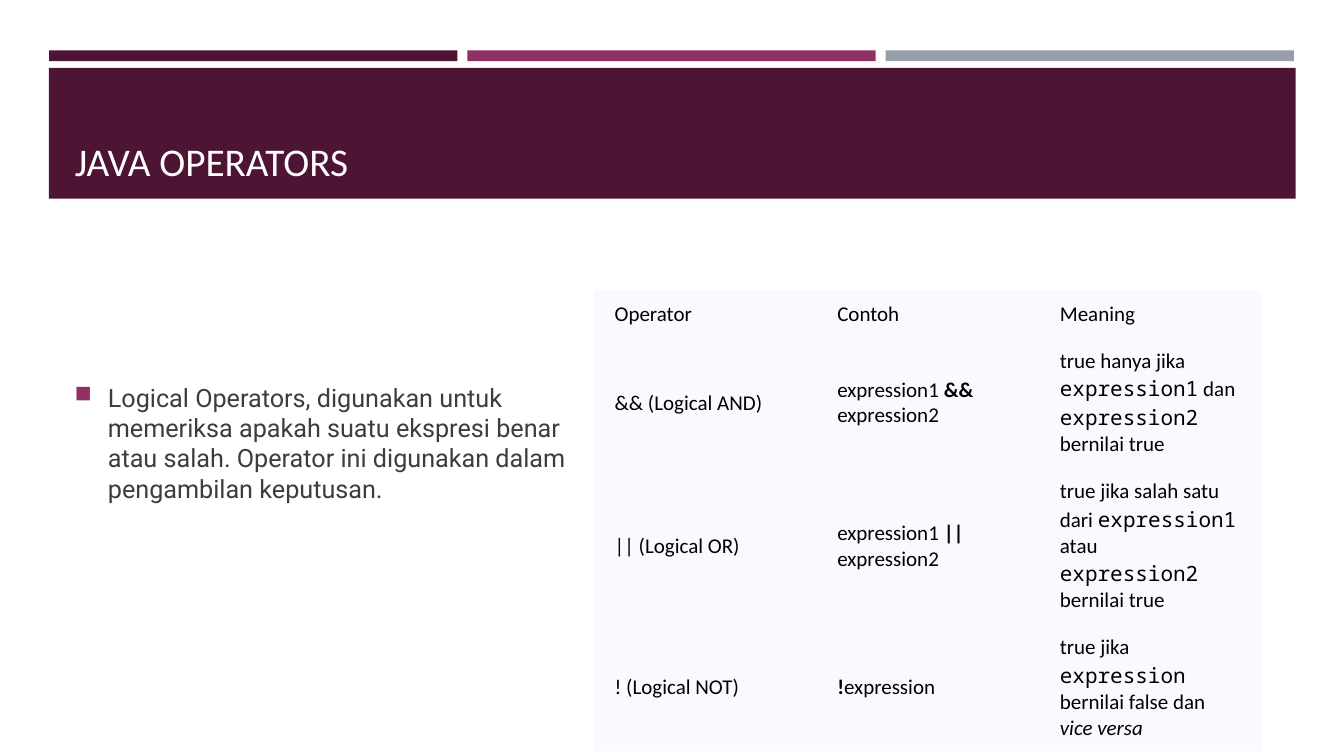
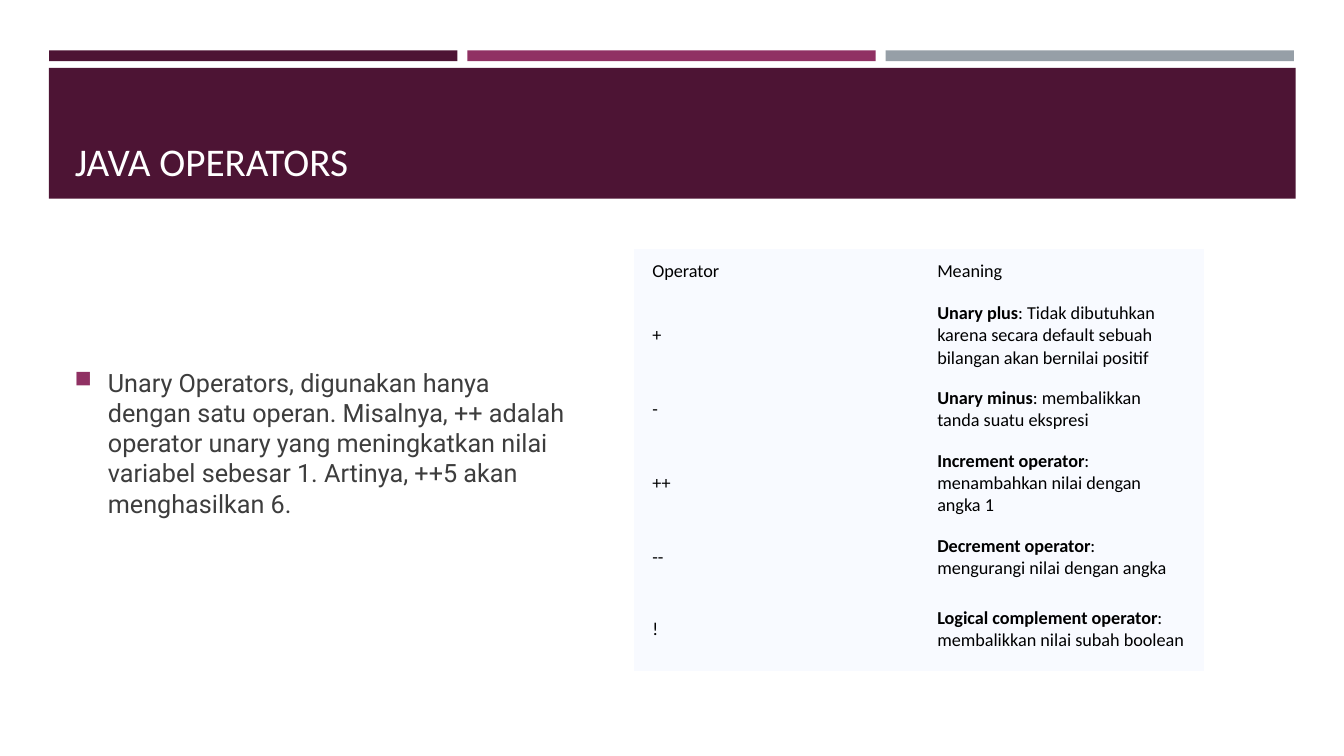
"""Build two slides on Java operators, each with a bullet and a table."""
from lxml import etree
from pptx import Presentation
from pptx import util as u
from pptx.dml.color import RGBColor
from pptx.enum import shapes, text
from pptx.oxml import ns

COLORS = {
    "plum": "4D1434",
    "magenta": "903163",
    "grey": "969FA7",
    "white": "FFFFFF",
    "body": "3D3D3D",
    "black": "000000",
    "cell": "F8FAFF",
}
NO_GRID_STYLE = "{2D5ABB26-0587-4C30-8999-92F81FD0307C}"
BOLD = {"bold": True}
ITALIC = {"italic": True}
MONO = {"name": "Noto Sans Mono"}

TITLE_FRAME = {
    "vertical_anchor": text.MSO_ANCHOR.BOTTOM,
    "auto_size": text.MSO_AUTO_SIZE.NONE,
    "word_wrap": True,
}
BODY_FRAME = TITLE_FRAME | {"vertical_anchor": text.MSO_ANCHOR.MIDDLE}
TITLE_FONT = {"name": "Calibri", "size": u.Pt(28)}
BODY_FONT = {"name": "Roboto", "size": u.Pt(18)}

SLIDES = [
    {
        "title": "JAVA OPERATORS",
        "body": "Logical Operators, digunakan untuk memeriksa apakah suatu ekspresi "
                "benar atau salah. Operator ini digunakan dalam pengambilan keputusan.",
        "left": 14.96, "top": 7.32, "column": 5.61,
        "heights": [1.17, 3.07, 3.07, 2.44],
        "size": 15, "inset": (0.53, 0.27),
        "rows": [
            [[("Operator", {})], [("Contoh", {})], [("Meaning", {})]],
            [
                [("&& (Logical AND)", {})],
                [("expression1 ", {}), ("&&", BOLD), (" expression2", {})],
                [("true hanya jika ", {}), ("expression1", MONO), (" dan ", {}),
                 ("expression2 ", MONO), ("bernilai true", {})],
            ],
            [
                [("|| (Logical OR)", {})],
                [("expression1 ", {}), ("||", BOLD), (" expression2", {})],
                [("true jika salah satu dari ", {}), ("expression1 ", MONO),
                 ("atau ", {}), ("expression2 ", MONO), ("bernilai true", {})],
            ],
            [
                [("! (Logical NOT)", {})],
                [("!", BOLD), ("expression", {})],
                [("true jika ", {}), ("expression ", MONO),
                 ("bernilai false dan ", {}), ("vice versa", ITALIC)],
            ],
        ],
    },
    {
        "title": "JAVA OPERATORS",
        "body": "Unary Operators, digunakan hanya dengan satu operan. Misalnya, ++ "
                "adalah operator unary yang meningkatkan nilai variabel sebesar 1. "
                "Artinya, ++5 akan menghasilkan 6.",
        "left": 15.98, "top": 6.27, "column": 7.18,
        "heights": [1.12, 2.08, 1.55, 1.55, 1.55, 2.08],
        "size": 13, "inset": (0.46, 0.23),
        "rows": [
            [[("Operator", {})], [("Meaning", {})]],
            [[("+", {})], [("Unary plus", BOLD),
             (": Tidak dibutuhkan karena secara default sebuah bilangan "
              "akan bernilai positif", {})]],
            [[("-", {})], [("Unary minus", BOLD),
             (": membalikkan tanda suatu ekspresi", {})]],
            [[("++", {})], [("Increment operator", BOLD),
             (": menambahkan nilai dengan angka 1", {})]],
            [[("--", {})], [("Decrement operator", BOLD),
             (": mengurangi nilai dengan angka", {})]],
            [[("!", {})], [("Logical complement operator", BOLD),
             (": membalikkan nilai subah boolean", {})]],
        ],
    },
]


def set_attributes(target, values):
    for name, value in values.items():
        setattr(target, name, value)


def add_run(paragraph, content, font, color):
    run = paragraph.add_run()
    run.text = content
    set_attributes(run.font, font)
    run.font.color.rgb = RGBColor.from_string(COLORS[color])


presentation = Presentation()
presentation.slide_width = u.Cm(33.87)
presentation.slide_height = u.Cm(19.05)
layout = presentation.slide_layouts[5]
slides = [presentation.slides.add_slide(layout) for _ in SLIDES]

bands = [(1.24 + 10.54 * index, 1.27, 10.29, 0.27, color)
         for index, color in enumerate(["plum", "magenta", "grey"])]
bands.append((1.23, 1.71, 31.42, 3.3, "plum"))
for *box, color in bands:
    band = slides[0].shapes.add_shape(
        shapes.MSO_SHAPE.RECTANGLE, *(u.Cm(length) for length in box))
    band.shadow.inherit = False
    band.fill.solid()
    band.fill.fore_color.rgb = RGBColor.from_string(COLORS[color])
    band.line.fill.background()
    layout.shapes.element.append(band.element)

for slide, content in zip(slides, SLIDES):
    title = slide.shapes.title
    set_attributes(title, {"left": u.Cm(1.63), "top": u.Cm(1.96),
                           "width": u.Cm(30.63), "height": u.Cm(2.82)})
    set_attributes(title.text_frame, TITLE_FRAME)
    paragraph = title.text_frame.paragraphs[0]
    paragraph.alignment = text.PP_ALIGN.LEFT
    add_run(paragraph, content["title"], TITLE_FONT, "white")

    body = slide.shapes.add_textbox(u.Cm(1.63), u.Cm(6.05), u.Cm(12.88), u.Cm(10.21))
    set_attributes(body.text_frame, BODY_FRAME)
    paragraph = body.text_frame.paragraphs[0]
    set_attributes(paragraph, {"space_before": u.Pt(3.6), "space_after": u.Pt(6)})
    add_run(paragraph, content["body"], BODY_FONT, "body")
    properties = paragraph._p.get_or_add_pPr()
    properties.set("marL", str(u.Cm(0.84)))
    properties.set("indent", str(-u.Cm(0.84)))
    bullet_color = etree.SubElement(properties, ns.qn("a:buClr"))
    etree.SubElement(bullet_color, ns.qn("a:srgbClr"), val=COLORS["magenta"])
    etree.SubElement(properties, ns.qn("a:buSzPct"), val="92000")
    etree.SubElement(properties, ns.qn("a:buChar"), char="■")

    rows = content["rows"]
    frame = slide.shapes.add_table(
        len(rows), len(rows[0]), u.Cm(content["left"]), u.Cm(content["top"]),
        u.Cm(content["column"] * len(rows[0])), u.Cm(sum(content["heights"])))
    table = frame.table
    set_attributes(table, {"first_row": False, "horz_banding": False})
    for style in frame.element.iter(ns.qn("a:tableStyleId")):
        style.text = NO_GRID_STYLE
    for column in table.columns:
        column.width = u.Cm(content["column"])

    across, down = (u.Cm(length) for length in content["inset"])
    cell_format = {"margin_left": across, "margin_right": across,
                   "margin_top": down, "margin_bottom": down,
                   "vertical_anchor": text.MSO_ANCHOR.MIDDLE}
    cell_font = {"name": "Calibri", "size": u.Pt(content["size"])}
    for row, height, row_cells in zip(table.rows, content["heights"], rows):
        row.height = u.Cm(height)
        for cell, runs in zip(row.cells, row_cells):
            set_attributes(cell, cell_format)
            cell.fill.solid()
            cell.fill.fore_color.rgb = RGBColor.from_string(COLORS["cell"])
            for words, emphasis in runs:
                add_run(cell.text_frame.paragraphs[0], words,
                        cell_font | emphasis, "black")

presentation.save("out.pptx")
